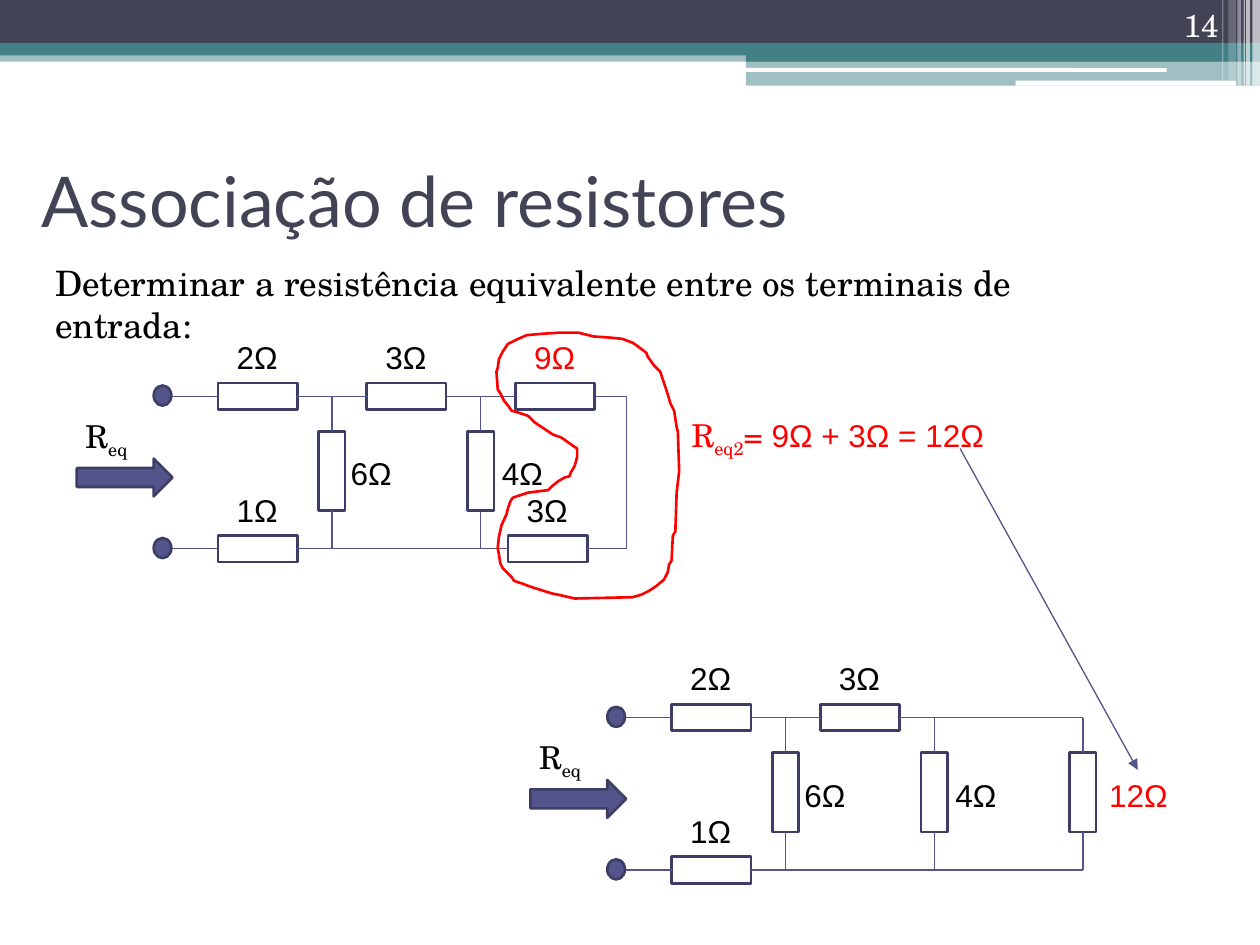
from dataclasses import dataclass
from typing import NamedTuple

from lxml import etree
from pptx import Presentation
from pptx.dml.color import RGBColor
from pptx.enum.shapes import MSO_CONNECTOR, MSO_SHAPE
from pptx.enum.text import MSO_ANCHOR, PP_ALIGN
from pptx.oxml.ns import qn
from pptx.util import Inches, Pt

RECT, ROUNDED, OVAL = MSO_SHAPE.RECTANGLE, MSO_SHAPE.ROUNDED_RECTANGLE, MSO_SHAPE.OVAL
ARROW, STRAIGHT = MSO_SHAPE.RIGHT_ARROW, MSO_CONNECTOR.STRAIGHT
TOP, MIDDLE, LOW = MSO_ANCHOR.TOP, MSO_ANCHOR.MIDDLE, MSO_ANCHOR.BOTTOM
LEFT, RIGHT = PP_ALIGN.LEFT, PP_ALIGN.RIGHT
SIDE_TOP, SIDE_LEFT, SIDE_BOTTOM, SIDE_RIGHT = range(4)
PAGE_WIDTH, PAGE_HEIGHT = 10, 7.5
LONG, SHORT = 0.63, 0.21            # resistor body
COLUMN, ROW = 1.18, 1.21            # circuit grid pitch
SHUNT_ROW = 0.49


@dataclass(frozen=True)
class Theme:
    dark: str = "424456"
    teal: str = "438086"
    white: str = "FFFFFF"
    black: str = "000000"
    red: str = "FF0000"
    wire: str = "53548A"
    outline: str = "3D3E66"
    serif: str = "TeX Gyre Schola"
    sans: str = "Arial"
    heading: str = "Lato"
    title_size: int = 40
    body_size: int = 20
    label_size: int = 18
    thin: float = 0.75
    thick: float = 1.5


THEME = Theme()


class Span(NamedTuple):
    text: str
    font: str = THEME.serif
    subscript: bool = False


class Band(NamedTuple):
    left: float
    top: float
    width: float
    height: float
    color: str
    opacity: int = 100
    kind: int = RECT


class Resistor(NamedTuple):
    name: str
    label: str
    column: float
    row: float
    color: str = THEME.black
    upright: bool = False
    gap: float = 0.05


class Joint(NamedTuple):
    """A side of a resistor where a wire is joined."""
    name: str
    side: int


class Point(NamedTuple):
    """A free wire end, in circuit columns and rows."""
    column: float
    row: float


BANDS = [
    Band(0, 0.4, PAGE_WIDTH, 0.09, THEME.teal, 50),
    Band(0, 0, PAGE_WIDTH, 0.34, THEME.dark),
    Band(0, 0.34, PAGE_WIDTH, 0.1, THEME.teal),
    Band(5.92, 0.39, 4.08, 0.1, THEME.teal),
    Band(5.92, 0.48, 4.08, 0.2, THEME.teal, 50),
    Band(5.91, 0.54, 3.35, 0.03, THEME.white, 100, ROUNDED),
    Band(8.06, 0.64, 1.75, 0.04, THEME.white, 100, ROUNDED),
] + [Band(left, 0, width, height, THEME.white, opacity) for left, width, height, opacity in (
    (9.94, 0.06, 0.68, 65), (9.89, 0.03, 0.68, 65), (9.87, 0.01, 0.68, 60),
    (9.82, 0.03, 0.68, 40), (9.75, 0.06, 0.64, 20), (9.7, 0.01, 0.64, 30))]

SHARED_RESISTORS = [
    Resistor("input", "2Ω", 0, 0), Resistor("series", "3Ω", 1, 0),
    Resistor("return", "1Ω", 0, 1),
    Resistor("shunt 1", "6Ω", 0.5, SHUNT_ROW, upright=True),
    Resistor("shunt 2", "4Ω", 1.5, SHUNT_ROW, upright=True, gap=0.07),
]
LOOP_RESISTORS = [Resistor("loop top", "9Ω", 2, 0, THEME.red),
                  Resistor("loop bottom", "3Ω", 1.95, 1)]
REDUCED_RESISTORS = [Resistor("shunt 3", "12Ω", 2.5, SHUNT_ROW, THEME.red, True, 0.11)]

SHARED_WIRES = [(Point(-0.61, 0), Joint("input", SIDE_LEFT)),
                (Point(-0.61, 1), Joint("return", SIDE_LEFT)),
                (Joint("input", SIDE_RIGHT), Joint("series", SIDE_LEFT))]
LOOP_WIRES = [(Joint("series", SIDE_RIGHT), Joint("loop top", SIDE_LEFT)),
              (Joint("loop top", SIDE_RIGHT), Point(2.48, 0)),
              (Point(2.48, 0), Point(2.48, 1)),
              (Point(2.48, 1), Joint("loop bottom", SIDE_RIGHT)),
              (Joint("return", SIDE_RIGHT), Joint("loop bottom", SIDE_LEFT))]
REDUCED_WIRES = [(Joint("series", SIDE_RIGHT), Point(2.5, 0)),
                 (Joint("return", SIDE_RIGHT), Point(2.5, 1))]

LASSO = [
    (4.29, 2.65), (4.18, 2.66), (4.09, 2.7), (4.03, 2.73), (3.99, 2.79), (3.96, 2.85),
    (3.95, 2.92), (3.94, 2.95), (3.95, 3.09), (3.97, 3.12), (4, 3.18), (4.04, 3.23),
    (4.06, 3.26), (4.1, 3.27), (4.19, 3.3), (4.24, 3.35), (4.33, 3.41), (4.39, 3.45),
    (4.45, 3.47), (4.48, 3.49), (4.55, 3.54), (4.58, 3.56), (4.58, 3.63), (4.56, 3.7),
    (4.53, 3.75), (4.52, 3.78), (4.48, 3.79), (4.43, 3.82), (4.38, 3.86), (4.35, 3.89),
    (4.19, 3.91), (4.13, 3.93), (4.07, 3.95), (4.05, 3.98), (4.03, 4.04), (4.02, 4.08),
    (3.98, 4.17), (3.96, 4.26), (3.95, 4.35), (3.96, 4.4), (3.97, 4.47), (3.99, 4.51),
    (4.06, 4.58), (4.08, 4.61), (4.14, 4.63), (4.22, 4.66), (4.38, 4.71), (4.43, 4.72),
    (4.56, 4.75), (5.02, 4.74), (5.09, 4.72), (5.15, 4.69), (5.21, 4.65), (5.27, 4.6),
    (5.3, 4.54), (5.31, 4.48), (5.33, 4.45), (5.34, 4.25), (5.36, 4.22), (5.37, 3.91),
    (5.39, 3.74), (5.38, 3.43), (5.37, 3.39), (5.35, 3.26), (5.32, 3.2), (5.3, 3.13),
    (5.26, 3.01), (5.24, 2.95), (5.19, 2.9), (5.14, 2.83), (5.13, 2.8), (5.05, 2.74),
    (5.02, 2.72), (4.94, 2.69), (4.85, 2.68), (4.71, 2.67), (4.67, 2.66), (4.59, 2.64),
    (4.44, 2.64)]


def rgb(color: str) -> RGBColor:
    return RGBColor.from_string(color)


def paint(shape, *, fill: str = "", line: str = "", opacity: int = 100) -> None:
    shape.shadow.inherit = False
    if fill:
        shape.fill.solid()
        shape.fill.fore_color.rgb = rgb(fill)
        if opacity < 100:
            color = shape.fill._xPr.find(".//" + qn("a:srgbClr"))
            etree.SubElement(color, qn("a:alpha")).set("val", str(opacity * 1000))
    else:
        shape.fill.background()
    if line:
        shape.line.color.rgb = rgb(line)
        shape.line.width = Pt(THEME.thick)
    else:
        shape.line.fill.background()


def add_shape(page, kind, left: float, top: float, width: float, height: float, **look):
    shape = page.shapes.add_shape(kind, *map(Inches, (left, top, width, height)))
    paint(shape, **look)
    return shape


def add_text(page, spans: list[Span], left: float, top: float, width: float, height: float = 0.4,
             *, size: int = THEME.label_size, color: str = THEME.black, wrap: bool = False,
             anchor=TOP, align=LEFT) -> None:
    box = page.shapes.add_textbox(*map(Inches, (left, top, width, height)))
    frame = box.text_frame
    frame.word_wrap, frame.vertical_anchor = wrap, anchor
    para = frame.paragraphs[0]
    para.alignment = align
    for span in spans:
        run = para.add_run()
        run.text = span.text
        run.font.name, run.font.size = span.font, Pt(size)
        run.font.color.rgb = rgb(color)
        if span.subscript:
            run.font._element.set("baseline", "-25000")


def add_line(page, start: tuple, end: tuple, *, arrow: bool = False):
    line = page.shapes.add_connector(STRAIGHT, *map(Inches, (*start, *end)))
    line.line.color.rgb = rgb(THEME.wire)
    line.line.width = Pt(THEME.thin)
    properties = line._element.spPr
    if arrow:
        etree.SubElement(properties.find(qn("a:ln")), qn("a:tailEnd")).set("type", "triangle")
    etree.SubElement(properties, qn("a:effectLst"))
    return line


def add_circuit(page, left: float, top: float, resistors: list[Resistor], wires: list) -> None:
    """Draw the shared ladder plus its own parts; left and top are those of the input resistor."""
    def place(column: float, row: float) -> tuple[float, float]:
        return left + LONG / 2 + column * COLUMN, top + SHORT / 2 + row * ROW

    bodies, all_wires = {}, SHARED_WIRES + wires
    for part in SHARED_RESISTORS + resistors:
        x, y = place(part.column, part.row)
        width, height = (SHORT, LONG) if part.upright else (LONG, SHORT)
        bodies[part.name] = add_shape(page, RECT, x - width / 2, y - height / 2, width, height,
                                      line=THEME.outline)
        label_width = 0.25 + 0.14 * len(part.label)
        label_at = (x + part.gap, y - 0.18) if part.upright else (x - label_width / 2, y - 0.51)
        add_text(page, [Span(part.label, THEME.sans)], *label_at, label_width, color=part.color)
        if part.upright:
            all_wires = all_wires + [(Point(part.column, 0), Joint(part.name, SIDE_TOP)),
                                     (Joint(part.name, SIDE_BOTTOM), Point(part.column, 1))]
    for ends in all_wires:
        line = add_line(page, *(place(*end) if isinstance(end, Point) else (left, top)
                                for end in ends))
        for end, connect in zip(ends, (line.begin_connect, line.end_connect)):
            if isinstance(end, Joint):
                connect(bodies[end.name], end.side)
    solid = {"fill": THEME.wire, "line": THEME.outline}
    for row in (0, 1):
        add_shape(page, OVAL, left - 0.51, top + 0.02 + row * ROW, 0.14, 0.16, **solid)
    add_shape(page, ARROW, left - 1.12, top + 0.6, 0.76, 0.3, **solid)
    add_text(page, [Span("R"), Span("eq", subscript=True)], left - 1.15, top + 0.22, 0.55)


def add_lasso(page) -> None:
    start, *rest = [(Inches(x), Inches(y)) for x, y in LASSO]
    builder = page.shapes.build_freeform(*start)
    builder.add_line_segments(rest, close=True)
    paint(builder.convert_to_shape(), line=THEME.red)


def main() -> None:
    deck = Presentation()
    deck.slide_width, deck.slide_height = Inches(PAGE_WIDTH), Inches(PAGE_HEIGHT)
    page = deck.slides.add_slide(deck.slide_layouts[6])
    for band in BANDS:
        add_shape(page, band.kind, *band[:4], fill=band.color, opacity=band.opacity)
    add_text(page, [Span("Associação de resistores", THEME.heading)], 0.23, 1.04, 8.62, 1.09,
             size=THEME.title_size, color=THEME.dark, wrap=True, anchor=MIDDLE)
    add_text(page, [Span("Determinar a resistência equivalente entre os terminais de entrada:")],
             0.34, 2.03, 8.54, 0.44, size=THEME.body_size, wrap=True)
    add_text(page, [Span("R"), Span("eq2", subscript=True), Span("= "),
                    Span("9Ω + 3Ω = 12Ω", THEME.sans)], 5.39, 3.25, 2.58, color=THEME.red)
    add_circuit(page, 1.73, 3.04, LOOP_RESISTORS, LOOP_WIRES)
    add_lasso(page)
    add_circuit(page, 5.33, 5.59, REDUCED_RESISTORS, REDUCED_WIRES)
    add_line(page, (7.62, 3.56), (9.03, 6.11), arrow=True)
    add_text(page, [Span("14")], 8.94, 0, 0.83, color=THEME.white, wrap=True, anchor=LOW,
             align=RIGHT)
    deck.save("out.pptx")


if __name__ == "__main__":
    main()
